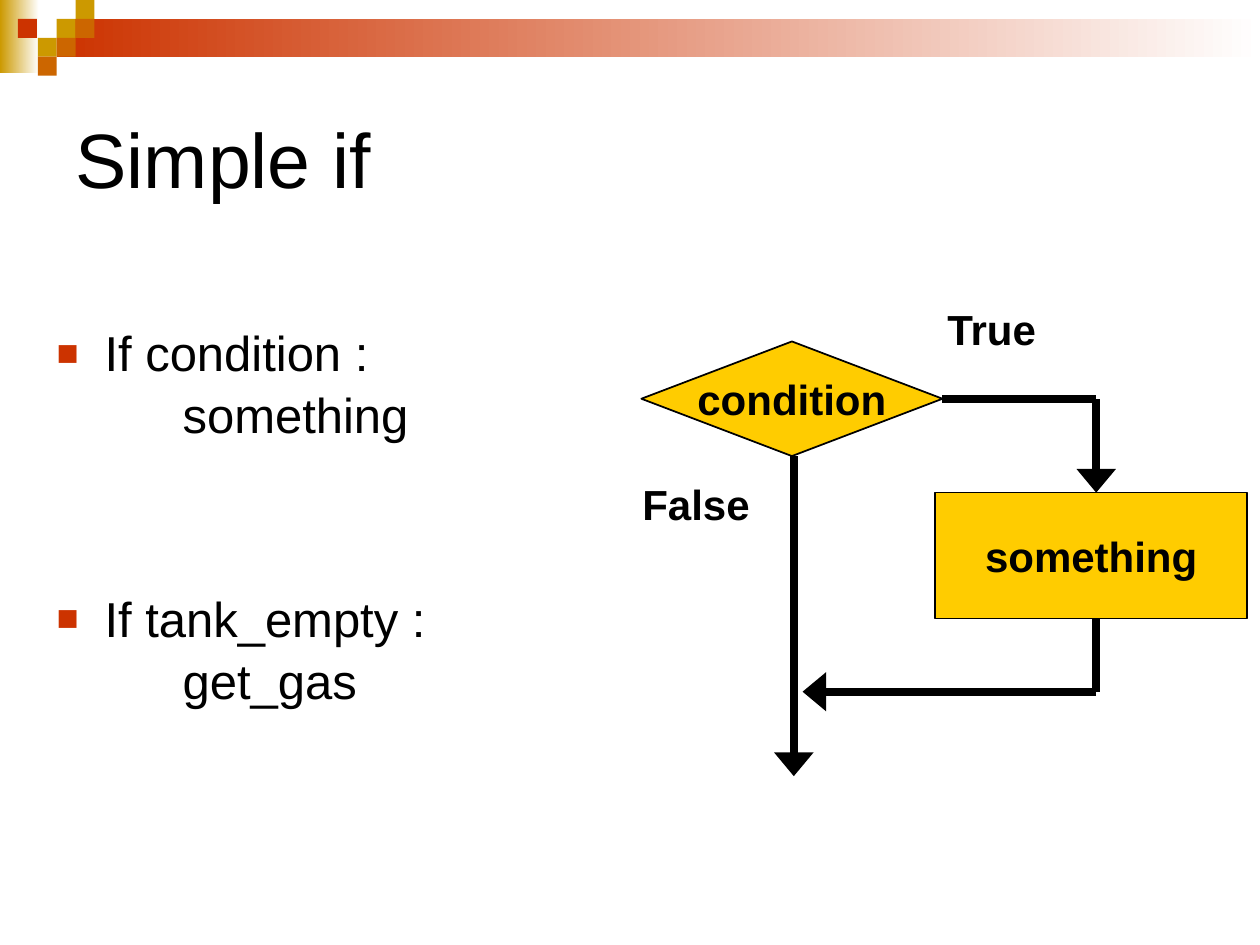
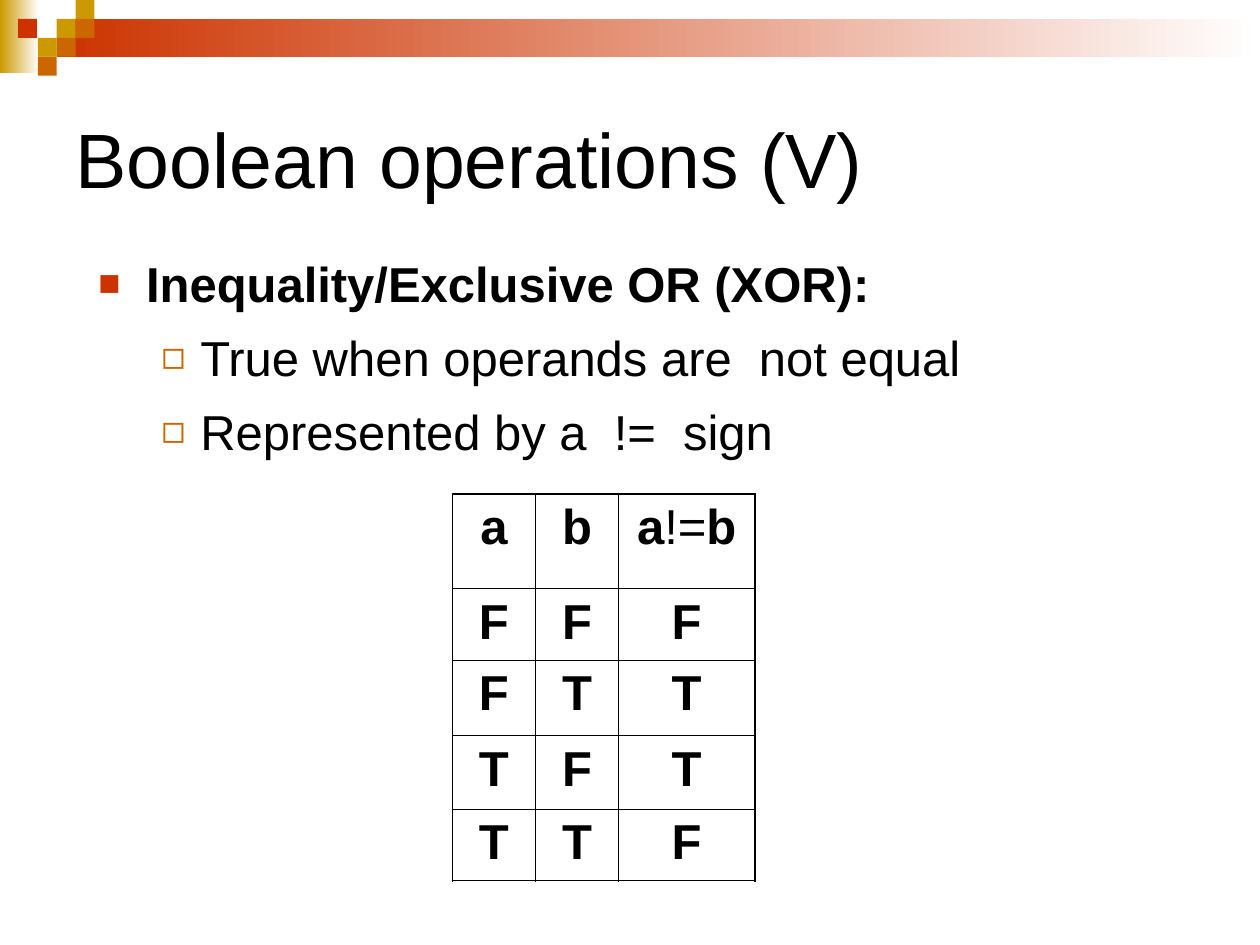
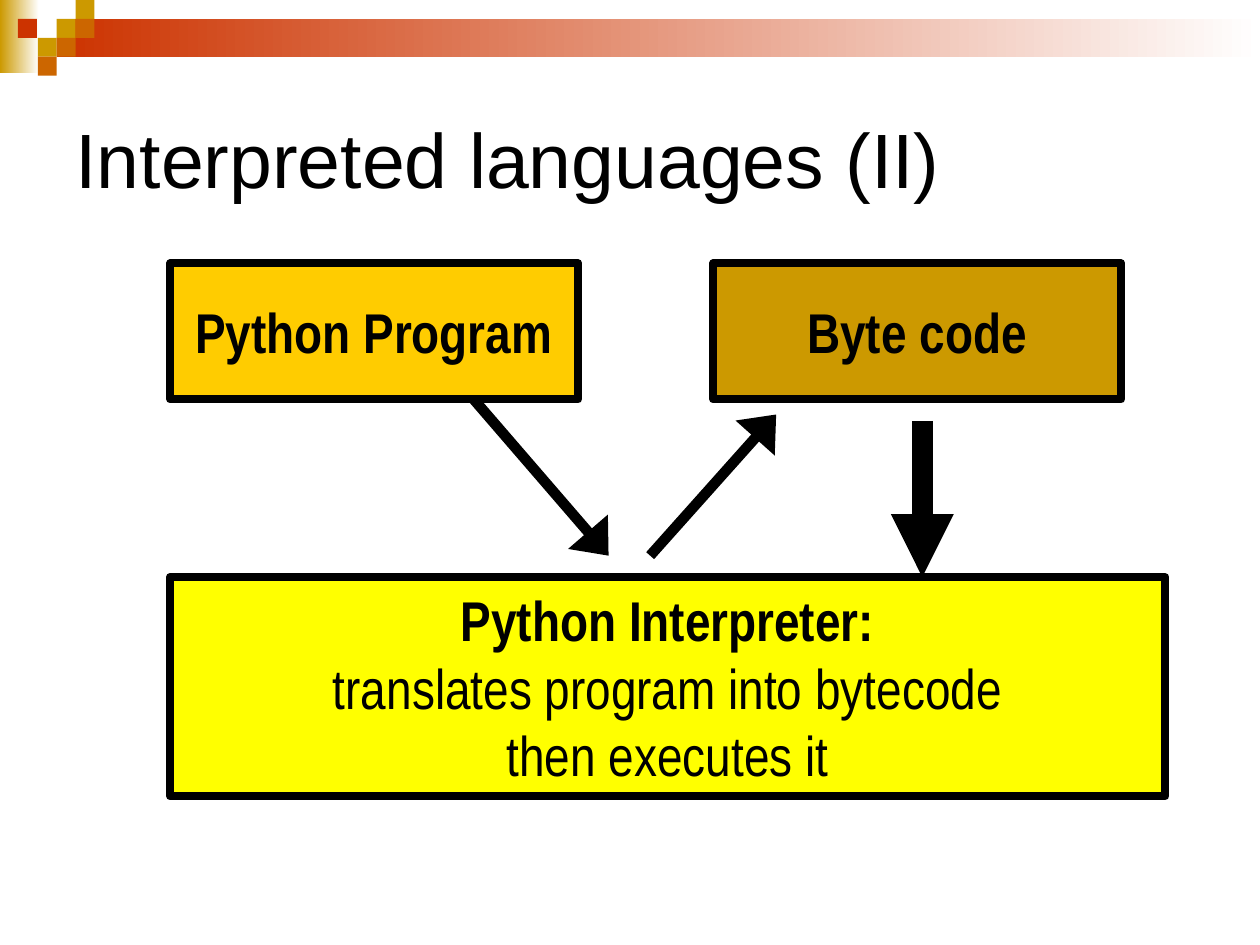
from copy import deepcopy
from lxml.etree import SubElement as Sub
from pptx import Presentation
from pptx.dml.color import RGBColor
from pptx.enum.shapes import MSO_CONNECTOR, MSO_SHAPE as Kind
from pptx.enum.text import MSO_ANCHOR as Anchor, MSO_AUTO_SIZE as Fit, PP_ALIGN as Align
from pptx.oxml.ns import qn
from pptx.util import Inches, Pt

# Shared colours and grid: 100 columns by 75 rows
hue = RGBColor.from_string
BLACK, WHITE, YELLOW, AMBER = "000000", "FFFFFF", "FFFF00", "FFCC00"
GOLD, RUST, RED = "CC9900", "CC6600", "CC3300"
deck = Presentation()
deck.slide_width, deck.slide_height = Inches(10), Inches(7.5)
UNIT = deck.slide_width // 100
TILE = 1.5


def write(para, text, size=24, bold=True, face="Arial", align=Align.CENTER):
    para.alignment = align
    for i, part in enumerate(text.split("\v")):
        if i:
            para.add_line_break()
        run = para.add_run()
        run.text = part
        font = run.font
        font.size, font.bold, font.name = Pt(size), bold, face
        font.color.rgb = hue(BLACK)
    for gap in para._p.findall(qn("a:br")):
        gap.insert(0, deepcopy(font._element))


def box(shapes, at, fill, edge=0, kind=Kind.RECTANGLE):
    shape = shapes.add_shape(kind, *[int(n * UNIT) for n in at])
    shape.shadow.inherit = False
    if isinstance(fill, tuple):
        shape.fill.gradient()
        shape.fill.gradient_angle = 0
        for stop, tone in zip(shape.fill.gradient_stops, fill):
            stop.color.rgb = hue(tone)
    else:
        shape.fill.solid()
        shape.fill.fore_color.rgb = hue(fill)
    if edge:
        shape.line.width = Pt(edge)
        shape.line.color.rgb = hue(BLACK)
    else:
        shape.line.fill.background()
    shape.text_frame.word_wrap = False
    shape.text_frame.vertical_anchor = Anchor.MIDDLE
    return shape


# Slides and titles
slides = []
for title, kind in (("Simple if", 1), ("Boolean operations (V)", 1),
                    ("Interpreted languages (II)", 5)):
    slide = deck.slides.add_slide(deck.slide_layouts[kind])
    head = slide.shapes.title
    head.left, head.top, head.width, head.height = [n * UNIT for n in (5, 5, 90, 15)]
    head.text_frame.auto_size = Fit.NONE
    head.text_frame.vertical_anchor = Anchor.MIDDLE
    write(head.text_frame.paragraphs[0], title, size=44, bold=False, align=Align.LEFT)
    slides.append(slide)
choice, logic, stages = slides

# Bands and tiles, kept on the master
trim = choice.shapes.add_group_shape()
box(trim.shapes, (0, 0, 3.1, 5.8), (GOLD, WHITE))
box(trim.shapes, (3 * TILE, TILE, 95.5, 2 * TILE), (RED, WHITE))
for col, row, tone in ((3, 1, GOLD), (4, 0, GOLD), (4, 1, RUST), (2, 2, GOLD),
                       (0.95, 1, RED), (3, 2, RUST), (2, 3, RUST)):
    box(trim.shapes, (col * TILE, row * TILE, TILE, TILE), tone)
for node in trim.element.iter(qn("p:cNvPr")):
    node.set("id", str(int(node.get("id")) + 100))
deck.slide_master.shapes.element.insert(2, trim.element)

# Bullet lists: level, space before, bold, text
marks = (("■", RED, 75, 0.38, -0.38), ("◻", RUST, 80, 0.81, -0.31))
lists = (
    (choice, (3.5, 24.9, 37.5, 46.6), (
        (0, 0, False, "If condition :\v\tsomething"),
        (0, 81, False, "If tank_empty :\v\tget_gas"))),
    (logic, (6.8, 19.4, 86.5, 18.1), (
        (0, 0, True, "Inequality/Exclusive OR (XOR):"),
        (1, 7, False, "True when operands are  not equal"),
        (1, 7, False, "Represented by a  !=  sign"))),
)
for slide, at, items in lists:
    body = slide.placeholders[1]
    body.left, body.top, body.width, body.height = [int(n * UNIT) for n in at]
    frame = body.text_frame
    frame.auto_size = Fit.NONE
    for i, (level, space, bold, text) in enumerate(items):
        para = frame.add_paragraph() if i else frame.paragraphs[0]
        para.level = level
        sign, tone, size, left, hang = marks[level]
        prop = para._p.get_or_add_pPr()
        prop.set("marL", str(Inches(left)))
        prop.set("indent", str(Inches(hang)))
        Sub(Sub(prop, qn("a:buClr")), qn("a:srgbClr"), val=tone)
        Sub(prop, qn("a:buSzPct"), val=str(size * 1000))
        Sub(prop, qn("a:buFont"), typeface="Arial")
        Sub(prop, qn("a:buChar"), char=sign)
        Sub(Sub(prop, qn("a:tabLst")), qn("a:tab"), pos=str(Inches(1)), algn="l")
        para.space_before, para.line_spacing = Pt(space), 1.05
        write(para, text, size=28, bold=bold, align=Align.LEFT)

# Flow chart and stage boxes
flow = (
    (choice, (50.9, 27.1, 23.9, 9.1), AMBER, 1, Kind.FLOWCHART_DECISION, ["condition"]),
    (choice, (74.2, 39.1, 24.8, 10), AMBER, 1, Kind.RECTANGLE, ["something"]),
    (stages, (13.5, 45.8, 79, 17.4), YELLOW, 4.5, Kind.RECTANGLE,
     ["Python Interpreter:", "translates program into bytecode", "then executes it"]),
    (stages, (13.5, 20.9, 32.4, 10.8), AMBER, 4.5, Kind.RECTANGLE, ["Python Program"]),
    (stages, (56.6, 20.9, 32.4, 10.8), GOLD, 4.5, Kind.RECTANGLE, ["Byte code"]),
)
for slide, at, fill, edge, kind, lines in flow:
    frame = box(slide.shapes, at, fill, edge, kind).text_frame
    style = dict(size=32, face="Arial Narrow") if slide is stages else {}
    for i, text in enumerate(lines):
        para = frame.add_paragraph() if i else frame.paragraphs[0]
        write(para, text, bold=i == 0, **style)

# Branch labels
for text, left, top in (("False", 50, 37.5), ("True", 74.2, 23.6)):
    label = choice.shapes.add_textbox(*[int(n * UNIT) for n in (left, top, 12, 5)])
    label.text_frame.word_wrap = True
    write(label.text_frame.paragraphs[0], text, align=Align.LEFT)

# Lines and arrows: ends, weight, width of the head
paths = (
    (choice, (74.8, 31.7, 87, 31.7), 4.5, None),
    (choice, (63, 36.2, 63, 61.6), 4.5, "lg"),
    (choice, (87, 31.7, 87, 39.1), 4.5, "lg"),
    (choice, (87, 49.1, 87, 54.9), 4.5, None),
    (choice, (87, 54.9, 63.7, 54.9), 4.5, "lg"),
    (stages, (37.6, 31.7, 48.3, 44.1), 6, "lg"),
    (stages, (51.6, 44.1, 61.6, 32.9), 6, "lg"),
    (stages, (73.2, 33.4, 73.2, 45.8), 12, "med"),
)
for slide, ends, weight, tip in paths:
    line = slide.shapes.add_connector(MSO_CONNECTOR.STRAIGHT, *[int(n * UNIT) for n in ends])
    line.line.width = Pt(weight)
    line.line.color.rgb = hue(BLACK)
    prop = line.element.spPr
    if tip:
        Sub(prop.find(qn("a:ln")), qn("a:tailEnd"), type="triangle", w=tip, len="med")
    Sub(prop, qn("a:effectLst"))

# Truth table
truth = (("a", "b", ("a", "!=", "b")), "FFF", "FTT", "TFT", "TTF")
cols, rows = (6.6, 6.6, 10.8), (7.5, 5.7, 6, 5.8, 5.7)
at = (35.9, 39.2, sum(cols), sum(rows))
grid = logic.shapes.add_table(len(rows), len(cols), *[int(n * UNIT) for n in at]).table
grid.first_row = grid.horz_banding = False
for col, wide in zip(grid.columns, cols):
    col.width = int(wide * UNIT)
for r, (row, tall) in enumerate(zip(grid.rows, rows)):
    row.height = int(tall * UNIT)
    for c, cell in enumerate(row.cells):
        prop = cell._tc.get_or_add_tcPr()
        outer = {"L": c == 0, "R": c == len(cols) - 1, "T": r == 0, "B": r == len(rows) - 1}
        for side, rim in outer.items():
            edge = Sub(prop, qn("a:ln" + side), w=str(Pt(1.08 if rim else 0.45)))
            Sub(Sub(edge, qn("a:solidFill")), qn("a:srgbClr"), val=BLACK)
        cell.fill.background()
        for part in truth[r][c]:
            write(cell.text_frame.paragraphs[0], part, size=28, bold=part != "!=")

deck.save("out.pptx")
